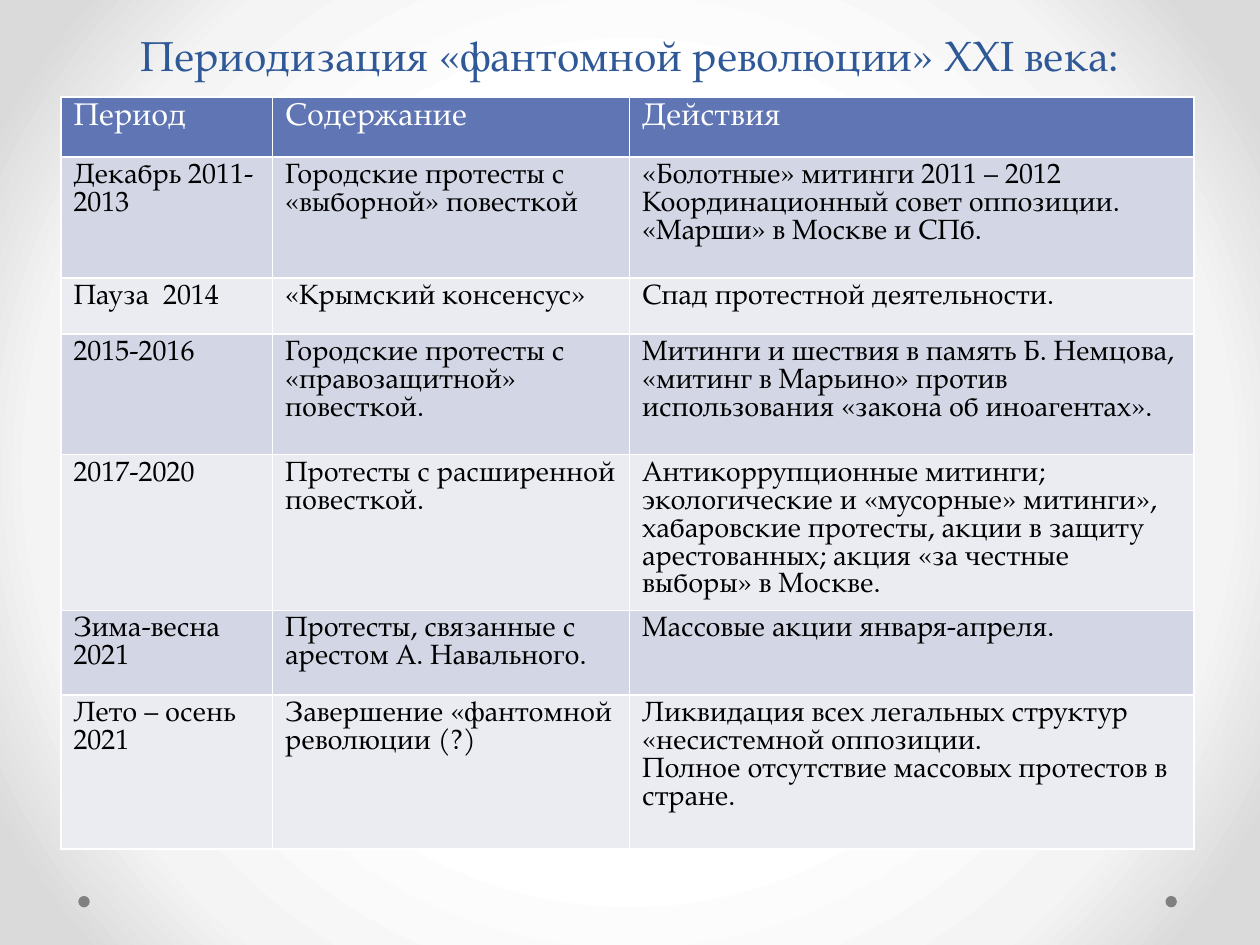
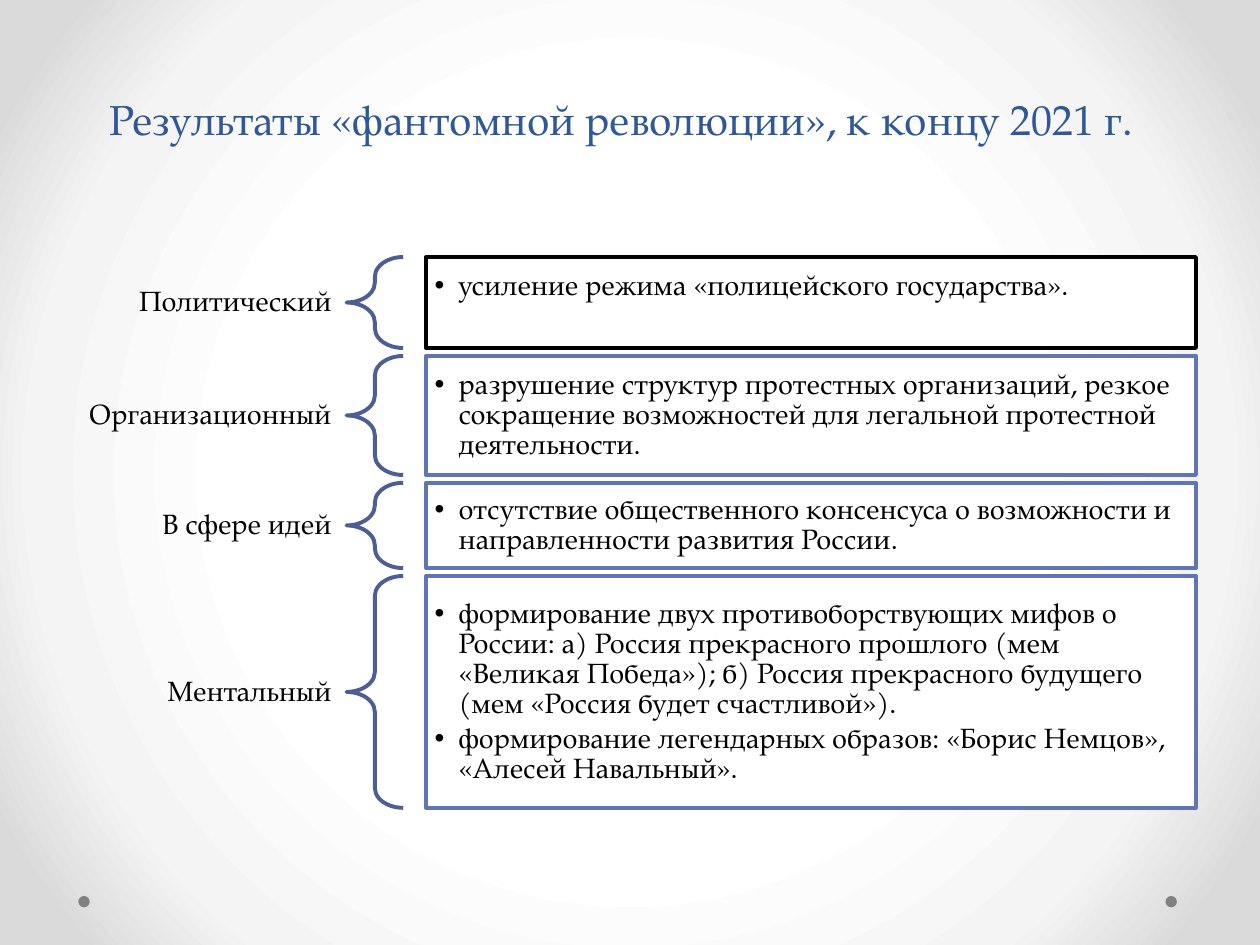
from lxml import etree
from pptx import Presentation
from pptx import util as u
from pptx.dml.color import RGBColor
from pptx.enum import shapes, text
from pptx.oxml import ns, parse_xml

Pt = u.Pt
FONT = "TeX Gyre Pagella"
COLORS = {
    "title": "2F5897", "accent": "6076B4", "brace": "4D5E90",
    "band_dark": "D2D6E5", "band_light": "EAECF2", "dot": "808080",
    "white": "FFFFFF", "black": "000000",
}
BACKGROUND_STOPS = [(50, "FFFFFF"), (76, "F4F4F4"), (92, "DADADA")]

PERIODS = [
    ("Период", "Содержание", "Действия"),
    ("Декабрь 2011-2013", "Городские протесты с «выборной» повесткой",
     "«Болотные» митинги 2011 – 2012\nКоординационный совет оппозиции.\n"
     "«Марши» в Москве и СПб."),
    ("Пауза  2014", "«Крымский консенсус»", "Спад протестной деятельности."),
    ("2015-2016", "Городские протесты с «правозащитной» повесткой.",
     "Митинги и шествия в память Б. Немцова, «митинг в Марьино» против "
     "использования «закона об иноагентах»."),
    ("2017-2020", "Протесты с расширенной повесткой.",
     "Антикоррупционные митинги; экологические и «мусорные» митинги», "
     "хабаровские протесты, акции в защиту арестованных; акция «за честные "
     "выборы» в Москве."),
    ("Зима-весна 2021", "Протесты, связанные с арестом А. Навального.",
     "Массовые акции января-апреля."),
    ("Лето – осень 2021", "Завершение «фантомной революции (?)",
     "Ликвидация всех легальных структур «несистемной оппозиции.\n"
     "Полное отсутствие массовых протестов в стране."),
]
COLUMN_WIDTHS = [121, 204, 322.5]
ROW_HEIGHTS = [34.5, 69, 32, 69, 89, 48.5, 88]

# label, height, outline, bottom inset, text
RESULTS = [
    ("Политический", 52, "black", 23,
     "усиление режима «полицейского государства»."),
    ("Организационный", 68, "accent", 5,
     "разрушение структур протестных организаций, резкое сокращение "
     "возможностей для легальной протестной деятельности."),
    ("В сфере идей", 48.75, "accent", 5,
     "отсутствие общественного консенсуса о возможности и направленности "
     "развития России."),
    ("Ментальный", 132.5, "accent", 5,
     "формирование двух противоборствующих мифов о России: а) Россия "
     "прекрасного прошлого (мем «Великая Победа»); б) Россия прекрасного "
     "будущего (мем «Россия будет счастливой»).\n"
     "формирование легендарных образов: «Борис Немцов», «Алесей Навальный»."),
]


def rgb(name):
    return RGBColor.from_string(COLORS[name])


def write(frame, content, size=16, color="black", align=text.PP_ALIGN.LEFT,
          anchor=text.MSO_ANCHOR.MIDDLE, spacing=0.9, after=0, bullet=False):
    """Fill a text frame with one paragraph for each line of content."""
    frame.word_wrap = True
    frame.vertical_anchor = anchor
    for index, line in enumerate(content.split("\n")):
        paragraph = frame.paragraphs[0] if index == 0 else frame.add_paragraph()
        if bullet:
            add_bullet(paragraph)
        paragraph.alignment = align
        paragraph.line_spacing = spacing
        paragraph.space_before = Pt(0)
        paragraph.space_after = Pt(after)
        run = paragraph.add_run()
        run.text = line
        run.font.size = Pt(size)
        run.font.name = FONT
        run.font.color.rgb = rgb(color)


def add_bullet(paragraph, indent=13.7):
    properties = paragraph._p.get_or_add_pPr()
    properties.set("marL", str(Pt(indent)))
    properties.set("indent", str(-Pt(indent)))
    font = etree.SubElement(properties, ns.qn("a:buFont"))
    font.set("typeface", "Arial")
    etree.SubElement(properties, ns.qn("a:buChar")).set("char", "•")


def set_insets(frame, left, top, right, bottom):
    frame.margin_left, frame.margin_top = Pt(left), Pt(top)
    frame.margin_right, frame.margin_bottom = Pt(right), Pt(bottom)


def add_shape(slide, kind, left, top, width, height, fill=None, line=None):
    shape = slide.shapes.add_shape(
        kind, Pt(left), Pt(top), Pt(width), Pt(height))
    shape.shadow.inherit = False
    if fill:
        shape.fill.solid()
        shape.fill.fore_color.rgb = rgb(fill)
    else:
        shape.fill.background()
    if line:
        shape.line.color.rgb = rgb(line)
        shape.line.width = Pt(2.25)
    else:
        shape.line.fill.background()
    return shape


def set_background(master):
    """Give the master a radial gradient from white to grey."""
    master.background.fill.gradient()
    gradient = master.element.find(".//" + ns.qn("p:bgPr"))[0]
    stops = "".join(
        f'<a:gs pos="{position * 1000}"><a:srgbClr val="{color}"/></a:gs>'
        for position, color in BACKGROUND_STOPS)
    gradient.getparent().replace(gradient, parse_xml(
        f'<a:gradFill {ns.nsdecls("a")} rotWithShape="1"><a:gsLst>{stops}'
        '</a:gsLst><a:path path="circle"><a:fillToRect l="50000" t="50000" '
        'r="50000" b="50000"/></a:path></a:gradFill>'))


def add_titled_slide(presentation, title, left, top, width, height):
    slide = presentation.slides.add_slide(presentation.slide_layouts[5])
    for dot_left in (44.75, 666):
        add_shape(slide, shapes.MSO_SHAPE.OVAL, dot_left, 512, 6.5, 6.5,
                  fill="dot")
    placeholder = slide.shapes.title
    placeholder.left, placeholder.top = Pt(left), Pt(top)
    placeholder.width, placeholder.height = Pt(width), Pt(height)
    frame = placeholder.text_frame
    frame.auto_size = text.MSO_AUTO_SIZE.NONE
    set_insets(frame, 7.2, 3.6, 7.2, 3.6)
    write(frame, title, size=24, color="title", align=text.PP_ALIGN.CENTER,
          anchor=text.MSO_ANCHOR.BOTTOM, spacing=Pt(58))
    return slide


def set_borders(cell):
    properties = cell._tc.get_or_add_tcPr()
    for index, side in enumerate(("lnL", "lnR", "lnT", "lnB")):
        properties.insert(index, parse_xml(
            f'<a:{side} {ns.nsdecls("a")} w="{Pt(1)}"><a:solidFill>'
            f'<a:srgbClr val="{COLORS["white"]}"/></a:solidFill></a:{side}>'))


def add_period_table(slide, left, top):
    table = slide.shapes.add_table(
        len(PERIODS), len(COLUMN_WIDTHS), Pt(left), Pt(top),
        Pt(sum(COLUMN_WIDTHS)), Pt(sum(ROW_HEIGHTS))).table
    for column, width in zip(table.columns, COLUMN_WIDTHS):
        column.width = Pt(width)
    for index, (row, height) in enumerate(zip(table.rows, ROW_HEIGHTS)):
        row.height = Pt(height)
        if index == 0:
            fill, color, size = "accent", "white", 18
        else:
            fill = "band_dark" if index % 2 else "band_light"
            color, size = "black", 16
        for cell, content in zip(row.cells, PERIODS[index]):
            cell.fill.solid()
            cell.fill.fore_color.rgb = rgb(fill)
            set_borders(cell)
            write(cell.text_frame, content, size=size, color=color,
                  anchor=text.MSO_ANCHOR.TOP, spacing=Pt(size))


def add_result(slide, top, label, height, outline, bottom_inset, content):
    """Draw a label, a brace and the outlined box that explains it."""
    label_height = 27
    label_box = slide.shapes.add_textbox(
        Pt(36), Pt(top + (height - label_height) / 2), Pt(162),
        Pt(label_height))
    set_insets(label_box.text_frame, 8.6, 3, 8.6, 3)
    write(label_box.text_frame, label, align=text.PP_ALIGN.RIGHT)

    brace = add_shape(slide, shapes.MSO_SHAPE.LEFT_BRACE, 198, top, 32.4,
                      height, line="brace")
    brace.adjustments[0] = 0.35
    brace.adjustments[1] = 0.5

    box = add_shape(slide, shapes.MSO_SHAPE.RECTANGLE, 243.4, top, 440,
                    height, fill="white", line=outline)
    set_insets(box.text_frame, 5, 5, 5, bottom_inset)
    write(box.text_frame, content, after=2.4, bullet=True)


def add_results(slide, top, gap):
    for label, height, *details in RESULTS:
        add_result(slide, top, label, height, *details)
        top += height + gap


def main():
    presentation = Presentation()
    presentation.slide_width, presentation.slide_height = Pt(720), Pt(540)
    set_background(presentation.slide_master)

    periods = add_titled_slide(
        presentation, "Периодизация «фантомной революции» XXI века:",
        36, 9.4, 648, 39.6)
    add_period_table(periods, 34.8, 55.3)

    results = add_titled_slide(
        presentation, "Результаты «фантомной революции», к концу 2021 г.",
        31, 26, 648, 60)
    add_results(results, 146.9, 4.5)

    presentation.save("out.pptx")


if __name__ == "__main__":
    main()
